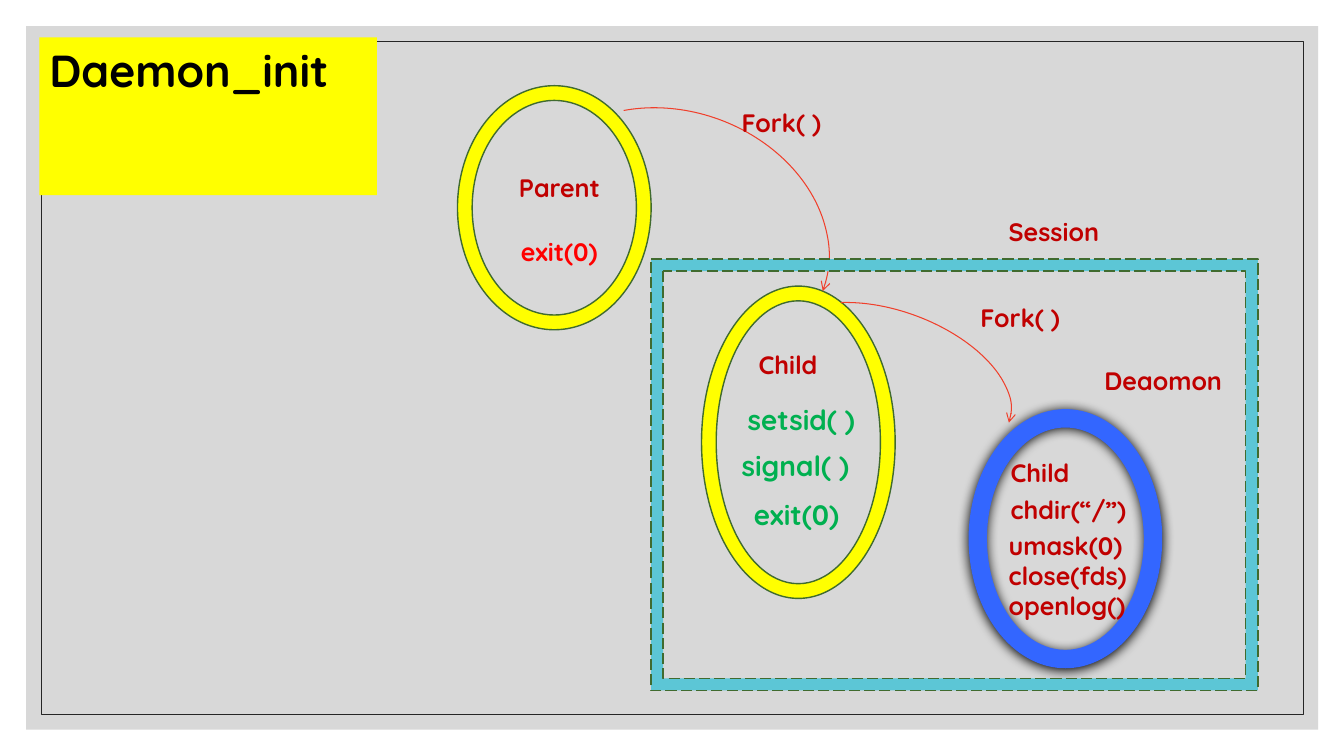
from dataclasses import dataclass

from lxml import etree
from pptx import Presentation
from pptx.dml.color import RGBColor
from pptx.enum.dml import MSO_LINE
from pptx.enum.shapes import MSO_SHAPE
from pptx.enum.text import MSO_ANCHOR, MSO_AUTO_SIZE, PP_ALIGN
from pptx.oxml.ns import qn
from pptx.shapes.autoshape import Shape
from pptx.slide import Slide
from pptx.text.text import TextFrame
from pptx.util import Cm, Pt

RECT, DONUT = MSO_SHAPE.RECTANGLE, MSO_SHAPE.DONUT
ARC, FRAME = MSO_SHAPE.ARC, MSO_SHAPE.FRAME
LONG_DASH = MSO_LINE.LONG_DASH
TOP, LEFT = MSO_ANCHOR.TOP, PP_ALIGN.LEFT
GROW = MSO_AUTO_SIZE.SHAPE_TO_FIT_TEXT

FONT = "Quicksand"
COLORS = {
    "panel": "BFBFBF", "border": "262626", "yellow": "FFFF00",
    "black": "000000", "outline": "406B2F", "arrow": "F03F2B",
    "blue": "3366FF", "session": "5CC6D6", "label": "C00000",
    "exit": "FF0000", "call": "00B050",
}


@dataclass
class Figure:
    kind: int
    box: tuple[float, float, float, float]
    fill: str = ""
    line: str = ""
    weight: float = 1
    adjust: tuple[float, ...] = ()
    rotation: float = 0
    dashed: bool = False
    opacity: int = 100
    arrow: bool = False
    shadow: bool = False


@dataclass
class Label:
    text: str
    left: float
    top: float
    color: str = "label"
    size: int = 18


def ring(box: tuple[float, float, float, float]) -> Figure:
    return Figure(DONUT, box, "yellow", "outline", adjust=(0.076,))


def fork_arrow(box: tuple[float, float, float, float], start: float) -> Figure:
    return Figure(ARC, box, line="arrow", weight=0.75, adjust=(start, 0),
                  rotation=20.3, arrow=True)


PANELS = [
    Figure(RECT, (0.66, 0.66, 32.56, 17.73), "panel", opacity=60),
    Figure(RECT, (1.04, 1.04, 31.8, 16.97), line="border", weight=0.5),
]
TITLE_BOX = (0.99, 0.94, 8.51, 1.63)
FIGURES = [
    ring((11.53, 2.16, 4.88, 6.15)),
    ring((17.68, 7.21, 4.88, 7.87)),
    fork_arrow((13.11, 2.82, 7.87, 6.3), 136.25),
    Figure(DONUT, (24.41, 10.31, 4.88, 6.53), "blue", adjust=(0.095,), shadow=True),
    fork_arrow((19.35, 7.85, 6.27, 3.43), 129.62),
    Figure(FRAME, (16.41, 6.53, 15.29, 10.87), "session", "outline",
           adjust=(0.028,), dashed=True),
]
LABELS = [
    Label("Fork( )", 18.44, 2.57),
    Label("Parent", 12.83, 4.22),
    Label("exit(0)", 12.88, 5.84, "exit"),
    Label("Session", 25.17, 5.33),
    Label("Fork( )", 24.46, 7.49),
    Label("Child", 18.87, 8.69),
    Label("setsid( )", 18.59, 10.03, "call", 20),
    Label("signal( )", 18.44, 11.18, "call", 20),
    Label("exit(0)", 18.75, 12.4, "call", 20),
    Label("Deaomon", 27.58, 9.07),
    Label("Child", 25.22, 11.4),
    Label("chdir(“/”)", 25.22, 12.34),
    Label("umask(0)\nclose(fds)\nopenlog()", 25.17, 13.23),
]


def rgb(name: str) -> RGBColor:
    return RGBColor.from_string(COLORS[name])


def add_shadow(shape: Shape) -> None:
    effects = shape._element.spPr.find(qn("a:effectLst"))
    outer = etree.SubElement(effects, qn("a:outerShdw"), blurRad=str(Pt(8.5)),
                             dist=str(Pt(1)), dir="5400000", rotWithShape="0")
    etree.SubElement(outer, qn("a:srgbClr"), val=COLORS["black"])


def draw_figure(page: Slide, figure: Figure) -> None:
    shape = page.shapes.add_shape(figure.kind, *map(Cm, figure.box))
    shape.shadow.inherit = False
    shape.rotation = figure.rotation
    for index, value in enumerate(figure.adjust):
        shape.adjustments[index] = value
    if figure.fill:
        shape.fill.solid()
        shape.fill.fore_color.rgb = rgb(figure.fill)
    else:
        shape.fill.background()
    if figure.line:
        shape.line.color.rgb = rgb(figure.line)
        shape.line.width = Pt(figure.weight)
    else:
        shape.line.fill.background()
    if figure.dashed:
        shape.line.dash_style = LONG_DASH
    if figure.opacity < 100:
        color = shape._element.spPr.find(qn("a:solidFill"))[0]
        etree.SubElement(color, qn("a:alpha"), val=str(figure.opacity * 1000))
    if figure.arrow:
        etree.SubElement(shape.line._get_or_add_ln(), qn("a:tailEnd"), type="arrow")
    if figure.shadow:
        add_shadow(shape)


def write_text(frame: TextFrame, text: str, size: int, color: str) -> None:
    frame_format = {"word_wrap": True, "auto_size": GROW, "vertical_anchor": TOP}
    for name, value in frame_format.items():
        setattr(frame, name, value)
    frame.text = text
    for para in frame.paragraphs:
        para.alignment = LEFT
        for span in para.runs:
            font_format = {"name": FONT, "size": Pt(size), "bold": True}
            for name, value in font_format.items():
                setattr(span.font, name, value)
            span.font.color.rgb = rgb(color)


def draw_label(page: Slide, label: Label) -> None:
    lines = label.text.count("\n") + 1
    height = 0.25 + lines * label.size * 0.043
    box = page.shapes.add_textbox(Cm(label.left), Cm(label.top), Cm(4.11), Cm(height))
    write_text(box.text_frame, label.text, label.size, label.color)


def draw_title(page: Slide) -> None:
    title = page.shapes.title
    for name, value in zip(("left", "top", "width", "height"), TITLE_BOX):
        setattr(title, name, Cm(value))
    title.fill.solid()
    title.fill.fore_color.rgb = rgb("yellow")
    write_text(title.text_frame, "Daemon_init", 32, "black")
    # Bring the title in front of the panels
    page.shapes._spTree.append(title._element)


def main() -> None:
    deck = Presentation()
    deck.slide_width, deck.slide_height = Cm(33.87), Cm(19.05)
    page = deck.slides.add_slide(deck.slide_layouts[5])

    # Background panels and title
    for panel in PANELS:
        draw_figure(page, panel)
    draw_title(page)

    # Processes, forks and session
    for figure in FIGURES:
        draw_figure(page, figure)

    # Names and calls
    for label in LABELS:
        draw_label(page, label)

    deck.save("out.pptx")


if __name__ == "__main__":
    main()
